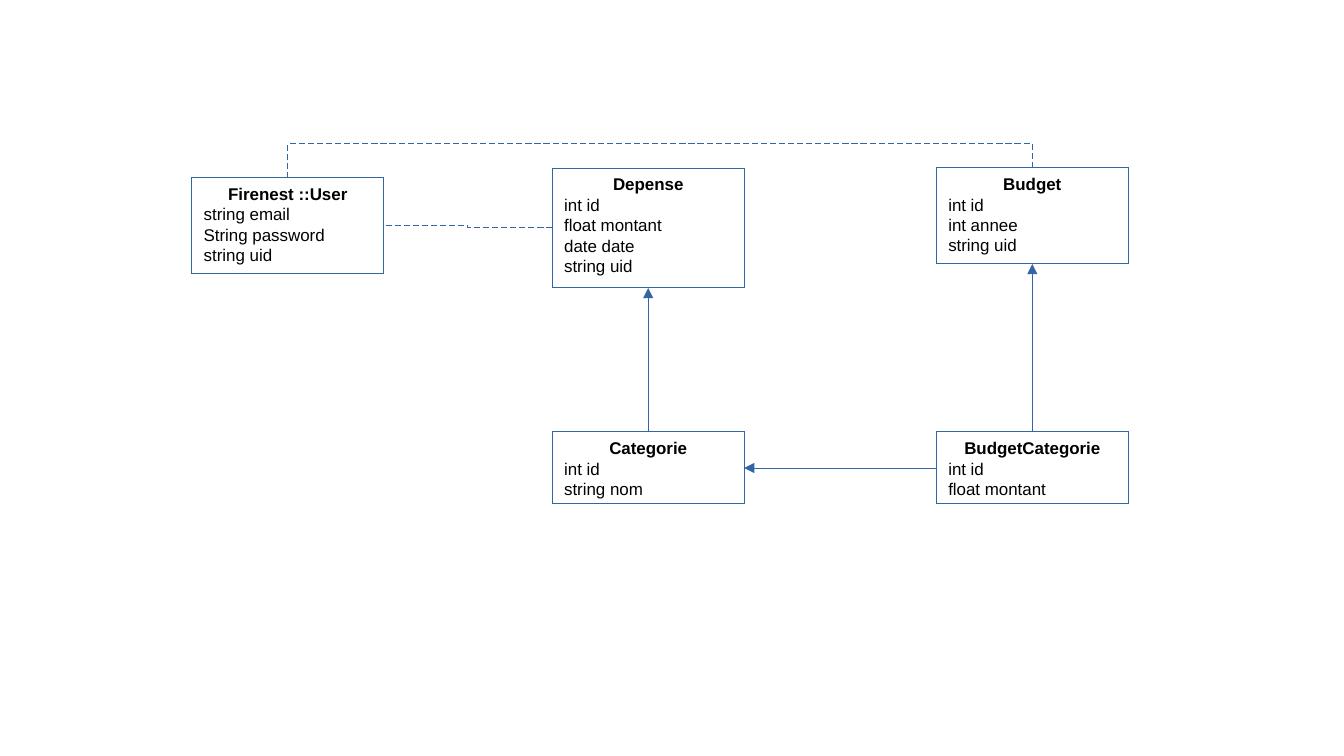
from lxml.etree import SubElement
from pptx import Presentation
from pptx.dml.color import RGBColor
from pptx.enum.dml import MSO_LINE
from pptx.enum.shapes import MSO_CONNECTOR, MSO_SHAPE
from pptx.enum.text import MSO_ANCHOR, PP_ALIGN
from pptx.oxml.ns import qn
from pptx.util import Pt

COLORS = {"line": "3465A4", "fill": "FFFFFF", "text": "000000"}
ROW = 14.17
BOX_WIDTH = 113.39
HAIRLINE = 0.01
TOP, LEFT, BOTTOM, RIGHT = range(4)

USER = "Firenest ::User"
ENTITIES = {
    "Depense": (325.98, 99.2, ["int id", "float montant", "date date", "string uid"]),
    "Budget": (552.76, 99.2, ["int id", "int annee", "string uid"]),
    "BudgetCategorie": (552.76, 255.1, ["int id", "float montant"]),
    "Categorie": (325.98, 255.1, ["int id", "string nom"]),
    USER: (113.2, 104.9, ["string email", "String password", "string uid"]),
}
ARROWS = [
    ("BudgetCategorie", TOP, "Budget", BOTTOM),
    ("BudgetCategorie", LEFT, "Categorie", RIGHT),
    ("Categorie", TOP, "Depense", BOTTOM),
]


def color(name):
    return RGBColor.from_string(COLORS[name])


def style_line(line):
    line.color.rgb = color("line")
    line.width = Pt(HAIRLINE)


def add_entity(slide, name, left, top, fields):
    height = ROW * (len(fields) + 1)
    box = slide.shapes.add_shape(
        MSO_SHAPE.RECTANGLE, Pt(left), Pt(top), Pt(BOX_WIDTH), Pt(height))
    box.shadow.inherit = False
    box.fill.solid()
    box.fill.fore_color.rgb = color("fill")
    style_line(box.line)
    frame = box.text_frame
    frame.word_wrap = True
    frame.vertical_anchor = MSO_ANCHOR.TOP
    frame.margin_left = frame.margin_right = Pt(7.2)
    frame.margin_top = frame.margin_bottom = Pt(3.6)
    frame.text = "\n".join([name, *fields])
    for index, para in enumerate(frame.paragraphs):
        para.alignment = PP_ALIGN.LEFT if index else PP_ALIGN.CENTER
        for span in para.runs:
            span.font.name = "Arial"
            span.font.size = Pt(10)
            span.font.bold = index == 0
            span.font.color.rgb = color("text")
    return box


def add_link(slide, kind, source, source_side, target, target_side):
    link = slide.shapes.add_connector(kind, 0, 0, 0, 0)
    link.begin_connect(source, source_side)
    link.end_connect(target, target_side)
    style_line(link.line)
    SubElement(link._element.spPr, qn("a:effectLst"))
    return link


def add_arrow(slide, *ends):
    arrow = add_link(slide, MSO_CONNECTOR.STRAIGHT, *ends)
    SubElement(arrow.line._get_or_add_ln(), qn("a:tailEnd"), type="triangle")


def add_side_link(slide, source, target):
    link = add_link(slide, MSO_CONNECTOR.ELBOW, source, LEFT, target, RIGHT)
    link.line.dash_style = MSO_LINE.DASH


def add_overhead_link(slide, source, target, rise):
    start_x = source.left + source.width // 2
    end_x = target.left + target.width // 2
    bend_y = source.top - Pt(rise)
    builder = slide.shapes.build_freeform(start_x, source.top)
    builder.add_line_segments(
        [(start_x, bend_y), (end_x, bend_y), (end_x, target.top)], close=False)
    link = builder.convert_to_shape()
    link.shadow.inherit = False
    link.fill.background()
    style_line(link.line)
    link.line.dash_style = MSO_LINE.DASH


def add_class_diagram(slide):
    boxes = {name: add_entity(slide, name, *entity) for name, entity in ENTITIES.items()}
    for source, source_side, target, target_side in ARROWS:
        add_arrow(slide, boxes[source], source_side, boxes[target], target_side)
    add_side_link(slide, boxes["Depense"], boxes[USER])
    add_overhead_link(slide, boxes["Budget"], boxes[USER], 14.2)


def main():
    deck = Presentation()
    deck.slide_width, deck.slide_height = Pt(793.44), Pt(446.4)
    page = deck.slides.add_slide(deck.slide_layouts[6])
    add_class_diagram(page)
    deck.save("out.pptx")


if __name__ == "__main__":
    main()
